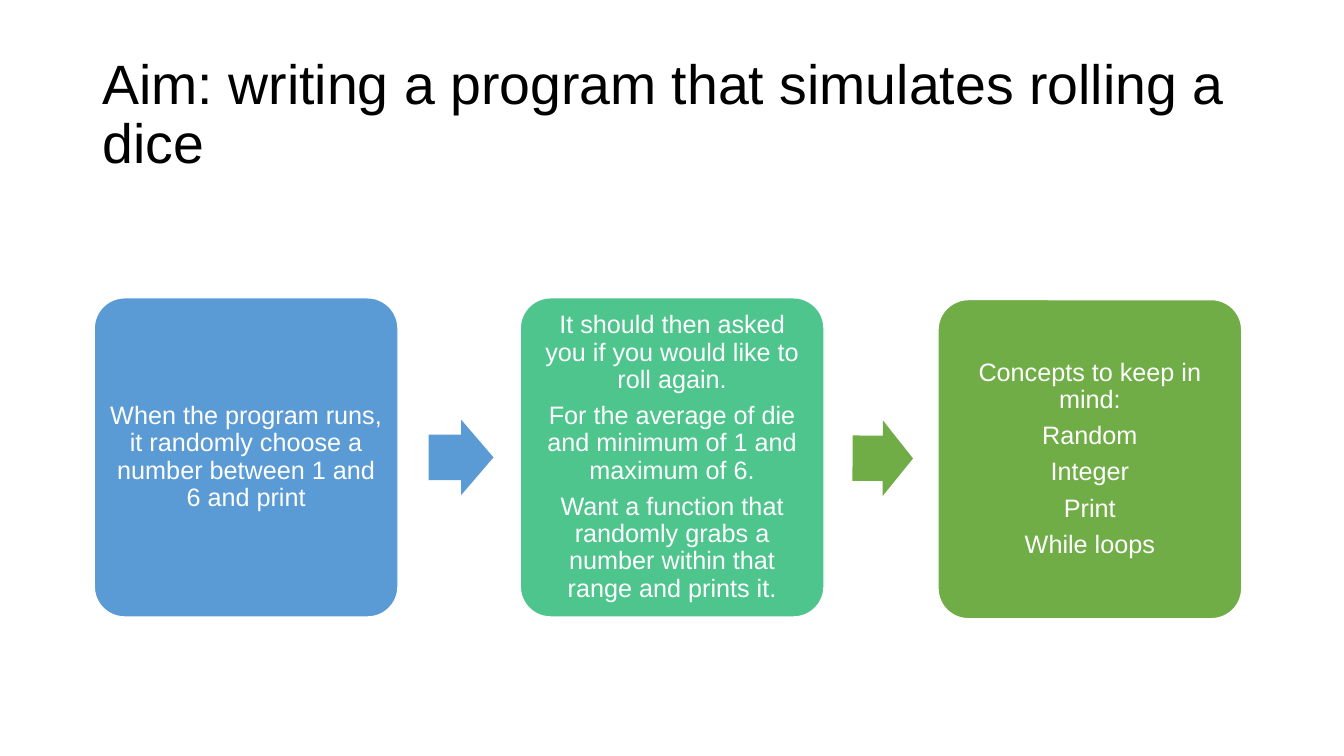
"""Build a slide showing the steps of a dice rolling program as a three-card flow."""
from dataclasses import dataclass

from pptx import Presentation
from pptx.dml.color import RGBColor
from pptx.enum.shapes import MSO_SHAPE
from pptx.enum.text import MSO_ANCHOR, PP_ALIGN
from pptx.util import Pt


@dataclass(frozen=True)
class Theme:
    """Colours and type sizes of the slide."""
    font: str = "Arial"
    title_size: float = 39.6
    card_size: float = 18
    black: str = "000000"
    white: str = "FFFFFF"
    blue: str = "5B9BD5"
    teal: str = "4DC58D"
    green: str = "70AD47"


THEME = Theme()
TITLE = "Aim: writing a program that simulates rolling a dice"
CARDS = [
    {"left": 67.3, "top": 212.7, "color": THEME.blue, "lines": [
        "When the program runs, it randomly choose a number between 1 and 6 and print",
    ]},
    {"left": 371.6, "top": 212.7, "color": THEME.teal, "lines": [
        "It should then asked you if you would like to roll again.",
        "For the average of die and minimum of 1 and maximum of 6.",
        "Want a function that randomly grabs a number within that range and prints it.",
    ]},
    {"left": 670, "top": 214, "color": THEME.green, "lines": [
        "Concepts to keep in mind:",
        "Random",
        "Integer",
        "Print",
        "While loops",
    ]},
]
ARROWS = [
    {"width": 46.3, "color": THEME.blue, "rotation": 0},
    {"width": 43.2, "color": THEME.green, "rotation": 0.3},
]
CARD_WIDTH, CARD_HEIGHT = 217, 228
ARROW_HEIGHT = 54
ARROW_SHARE = 0.34
TITLE_BOX = (66.2, 30.6, 828, 104.4)


def write_lines(frame, lines, size, color, align, space_after=0):
    """Write each line as a paragraph with one run."""
    frame.word_wrap = True
    frame.vertical_anchor = MSO_ANCHOR.MIDDLE
    for index, line in enumerate(lines):
        para = frame.add_paragraph() if index else frame.paragraphs[0]
        para.alignment = align
        para.line_spacing = 0.9
        para.space_after = Pt(space_after)
        span = para.add_run()
        span.text = line
        span.font.name = THEME.font
        span.font.size = Pt(size)
        span.font.color.rgb = RGBColor.from_string(color)


def add_filled(page, kind, box, color, adjustments):
    """Add a flat preset shape without an outline."""
    shape = page.shapes.add_shape(kind, *map(Pt, box))
    shape.shadow.inherit = False
    shape.fill.solid()
    shape.fill.fore_color.rgb = RGBColor.from_string(color)
    shape.line.fill.background()
    for index, value in enumerate(adjustments):
        shape.adjustments[index] = value
    return shape


def add_card(page, card):
    """Add a rounded card with its centred lines."""
    box = (card["left"], card["top"], CARD_WIDTH, CARD_HEIGHT)
    shape = add_filled(page, MSO_SHAPE.ROUNDED_RECTANGLE, box, card["color"], [0.1])
    shape.line.color.rgb = RGBColor.from_string(THEME.white)
    shape.line.width = Pt(1)
    frame = shape.text_frame
    frame.margin_left = frame.margin_right = Pt(5)
    frame.margin_top = frame.margin_bottom = Pt(5)
    write_lines(frame, card["lines"], THEME.card_size, THEME.white, PP_ALIGN.CENTER, 6.5)


def add_arrow(page, arrow, before, after):
    """Add an arrow in the gap between two cards."""
    gap_left = before["left"] + CARD_WIDTH
    gap = after["left"] - gap_left
    left = gap_left + (gap - arrow["width"]) * (0.5 + ARROW_SHARE / 10)
    middle = (before["top"] + after["top"] + CARD_HEIGHT) / 2
    box = (left, middle - ARROW_HEIGHT / 2, arrow["width"], ARROW_HEIGHT)
    shape = add_filled(page, MSO_SHAPE.RIGHT_ARROW, box, arrow["color"], [0.6, 0.5])
    shape.rotation = arrow["rotation"]


def main():
    """Create and save the deck."""
    deck = Presentation()
    deck.slide_width, deck.slide_height = Pt(960), Pt(540)
    page = deck.slides.add_slide(deck.slide_layouts[6])
    title = page.shapes.add_textbox(*map(Pt, TITLE_BOX))
    write_lines(title.text_frame, [TITLE], THEME.title_size, THEME.black, PP_ALIGN.LEFT)
    for card in CARDS:
        add_card(page, card)
    for arrow, before, after in zip(ARROWS, CARDS, CARDS[1:]):
        add_arrow(page, arrow, before, after)
    deck.save("out.pptx")


if __name__ == "__main__":
    main()
